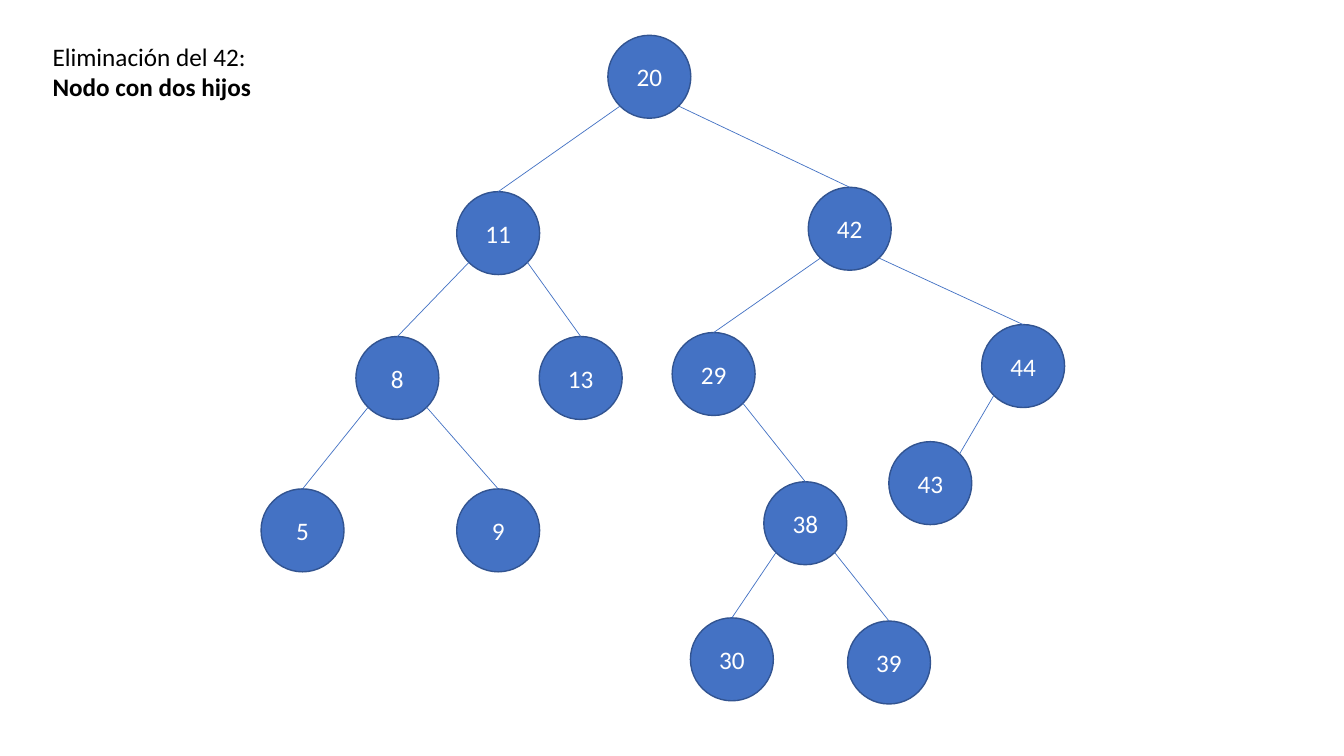
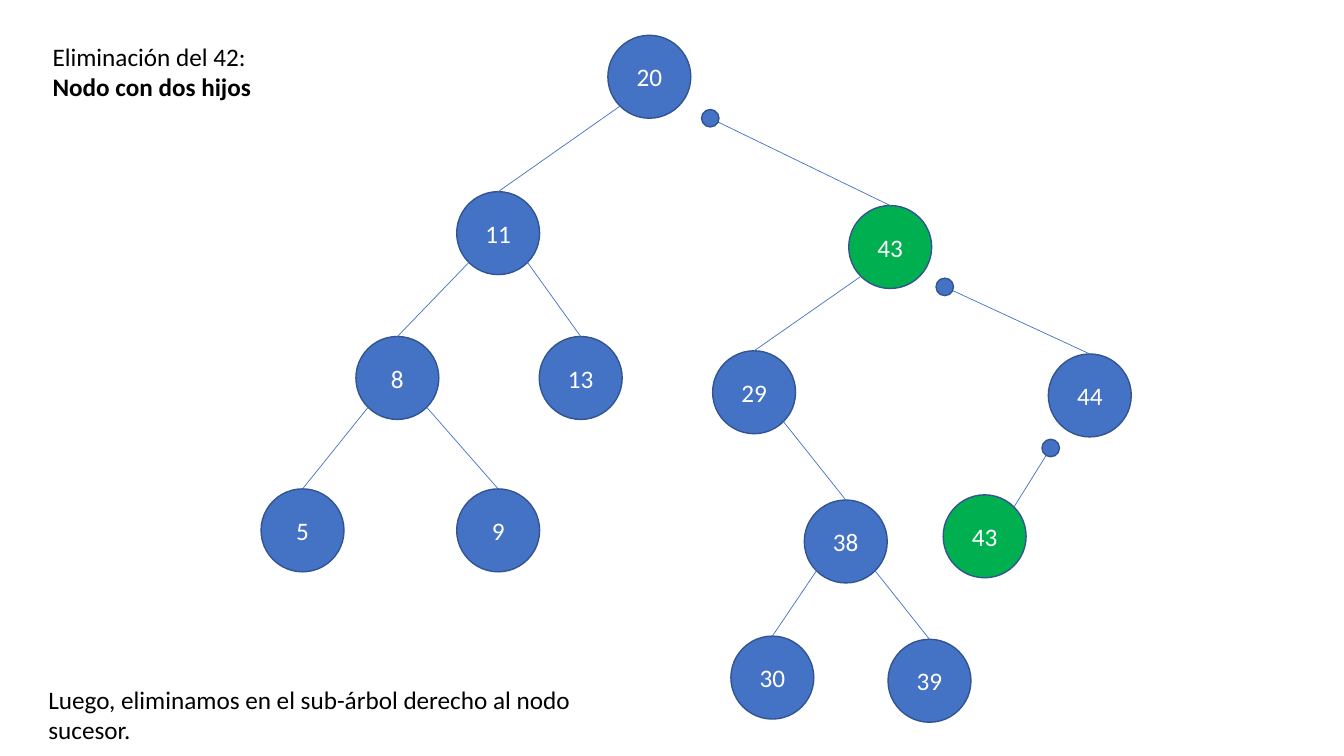
"""Builds two slides showing how a node with two children is removed from a search tree."""
import math

from lxml import etree
from pptx import Presentation
from pptx.dml.color import RGBColor
from pptx.enum.shapes import MSO_CONNECTOR, MSO_SHAPE
from pptx.enum.text import MSO_ANCHOR, MSO_AUTO_SIZE, PP_ALIGN
from pptx.oxml.ns import qn
from pptx.util import Cm, Pt

OVAL = MSO_SHAPE.OVAL
STRAIGHT = MSO_CONNECTOR.STRAIGHT
LEFT, CENTER = PP_ALIGN.LEFT, PP_ALIGN.CENTER
TOP, MIDDLE = MSO_ANCHOR.TOP, MSO_ANCHOR.MIDDLE
FIXED = MSO_AUTO_SIZE.NONE
TITLE_ONLY = 5

COLOURS = {
    "node": "4472C4",
    "outline": "325491",
    "successor": "00B050",
    "light": "FFFFFF",
    "dark": "000000",
}
FONT = "Calibri"
NODE_SIZE = 2.09
DOT_SIZE = 0.44
SITE_TOP, SITE_BOTTOM_LEFT, SITE_BOTTOM_RIGHT, SITE_TOP_RIGHT = 0, 3, 5, 7

POSITIONS = {
    "20": (15.32, 0.89),
    "11": (11.51, 4.83),
    "42": (20.37, 4.72),
    "8": (8.97, 8.48),
    "13": (13.59, 8.48),
    "5": (6.58, 12.32),
    "9": (11.51, 12.32),
    "29": (16.94, 8.38),
    "44": (24.74, 8.18),
    "38": (19.25, 12.14),
    "43": (22.4, 11.13),
    "30": (17.4, 15.57),
    "39": (21.36, 15.65),
}
CHILDREN = {
    "20": ("11", "42"),
    "11": ("8", "13"),
    "8": ("5", "9"),
    "42": ("29", "44"),
    "29": ("38",),
    "38": ("30", "39"),
    "44": ("43",),
}
SIDE_LINKED = ("43",)
SHIFTED = ("42", "29", "38", "30", "39")
SHIFT = (1.02, 0.46)
MOVED_APART = {"44": (26.42, 8.92), "43": (23.77, 12.47)}
LOOSE_ENDS = {"42": (17.9, 2.98), "44": (23.81, 7.23), "43": (26.48, 11.29)}


class TreeDeck:
    """Holds the shared style and the current slide."""

    def __init__(self):
        self.deck = Presentation()
        self.deck.slide_width, self.deck.slide_height = Cm(33.87), Cm(19.05)
        self.page = None

    def colour(self, name):
        return RGBColor.from_string(COLOURS[name])

    def style(self, paragraph, colour, align=LEFT, bold=False):
        paragraph.alignment = align
        paragraph.line_spacing = 1.0
        paragraph.space_before = Pt(0)
        font = paragraph.font
        font.name, font.size, font.bold = FONT, Pt(18), bold
        font.color.rgb = self.colour(colour)

    def place(self, box, left, top, width, height):
        box.left, box.top, box.width, box.height = map(Cm, (left, top, width, height))
        frame = box.text_frame
        frame.word_wrap = True
        frame.auto_size = FIXED
        frame.vertical_anchor = TOP
        return frame

    def start_page(self, topic, case):
        self.page = self.deck.slides.add_slide(self.deck.slide_layouts[TITLE_ONLY])
        frame = self.place(self.page.shapes.title, 1.07, 0.91, 9.1, 1.8)
        frame.text = topic
        self.style(frame.paragraphs[0], "dark")
        second = frame.add_paragraph()
        second.text = case
        self.style(second, "dark", bold=True)

    def note(self, text, left, top, width, height):
        box = self.page.shapes.add_textbox(0, 0, 0, 0)
        frame = self.place(box, left, top, width, height)
        frame.text = text
        self.style(frame.paragraphs[0], "dark")

    def circle(self, left, top, size, fill="node"):
        shape = self.page.shapes.add_shape(OVAL, Cm(left), Cm(top), Cm(size), Cm(size))
        shape.shadow.inherit = False
        shape.fill.solid()
        shape.fill.fore_color.rgb = self.colour(fill)
        shape.line.color.rgb = self.colour("outline")
        shape.line.width = Pt(1)
        return shape

    def node(self, label, position, fill):
        shape = self.circle(*position, NODE_SIZE, fill)
        frame = shape.text_frame
        frame.vertical_anchor = MIDDLE
        frame.text = label
        self.style(frame.paragraphs[0], "light", CENTER)
        return shape

    def dot(self, center):
        left, top = (value - DOT_SIZE / 2 for value in center)
        self.circle(left, top, DOT_SIZE)

    def site_point(self, shape, site):
        angle = math.radians(45 * site)
        radius = shape.width / 2
        return (int(shape.left + radius - radius * math.sin(angle)),
                int(shape.top + radius - radius * math.cos(angle)))

    def link(self, start, child, child_site, parent=None, parent_site=None):
        end = self.site_point(child, child_site)
        line = self.page.shapes.add_connector(STRAIGHT, *start, *end)
        line.line.color.rgb = self.colour("node")
        line.line.width = Pt(0.5)
        element = line._element
        etree.SubElement(element.spPr, qn("a:effectLst"))
        joints = element.find(".//" + qn("p:cNvCxnSpPr"))
        ends = (("a:stCxn", parent, parent_site), ("a:endCxn", child, child_site))
        for tag, shape, site in ends:
            if shape is not None:
                etree.SubElement(joints, qn(tag), id=str(shape.shape_id), idx=str(site))

    def tree(self, positions, labels, highlighted=(), loose_ends=None):
        loose_ends = loose_ends or {}
        nodes = {
            key: self.node(labels.get(key, key), position,
                           "successor" if key in highlighted else "node")
            for key, position in positions.items()
        }
        for parent_key, children in CHILDREN.items():
            parent = nodes[parent_key]
            for key in children:
                child = nodes[key]
                child_site = SITE_TOP_RIGHT if key in SIDE_LINKED else SITE_TOP
                if key in loose_ends:
                    start = tuple(Cm(value) for value in loose_ends[key])
                    self.link(start, child, child_site)
                else:
                    is_left = child.left < parent.left
                    site = SITE_BOTTOM_LEFT if is_left else SITE_BOTTOM_RIGHT
                    self.link(self.site_point(parent, site), child, child_site, parent, site)
        for center in loose_ends.values():
            self.dot(center)


def main():
    show = TreeDeck()
    heading = ("Eliminación del 42:", "Nodo con dos hijos")

    show.start_page(*heading)
    show.tree(POSITIONS, {})

    show.start_page(*heading)
    shifted = {key: (POSITIONS[key][0] + SHIFT[0], POSITIONS[key][1] + SHIFT[1])
               for key in SHIFTED}
    show.tree({**POSITIONS, **shifted, **MOVED_APART}, {"42": "43"},
              highlighted=("42", "43"), loose_ends=LOOSE_ENDS)
    show.note("Luego, eliminamos en el sub-árbol derecho al nodo sucesor.",
              0.97, 17.12, 14.02, 1.8)

    show.deck.save("out.pptx")


if __name__ == "__main__":
    main()
